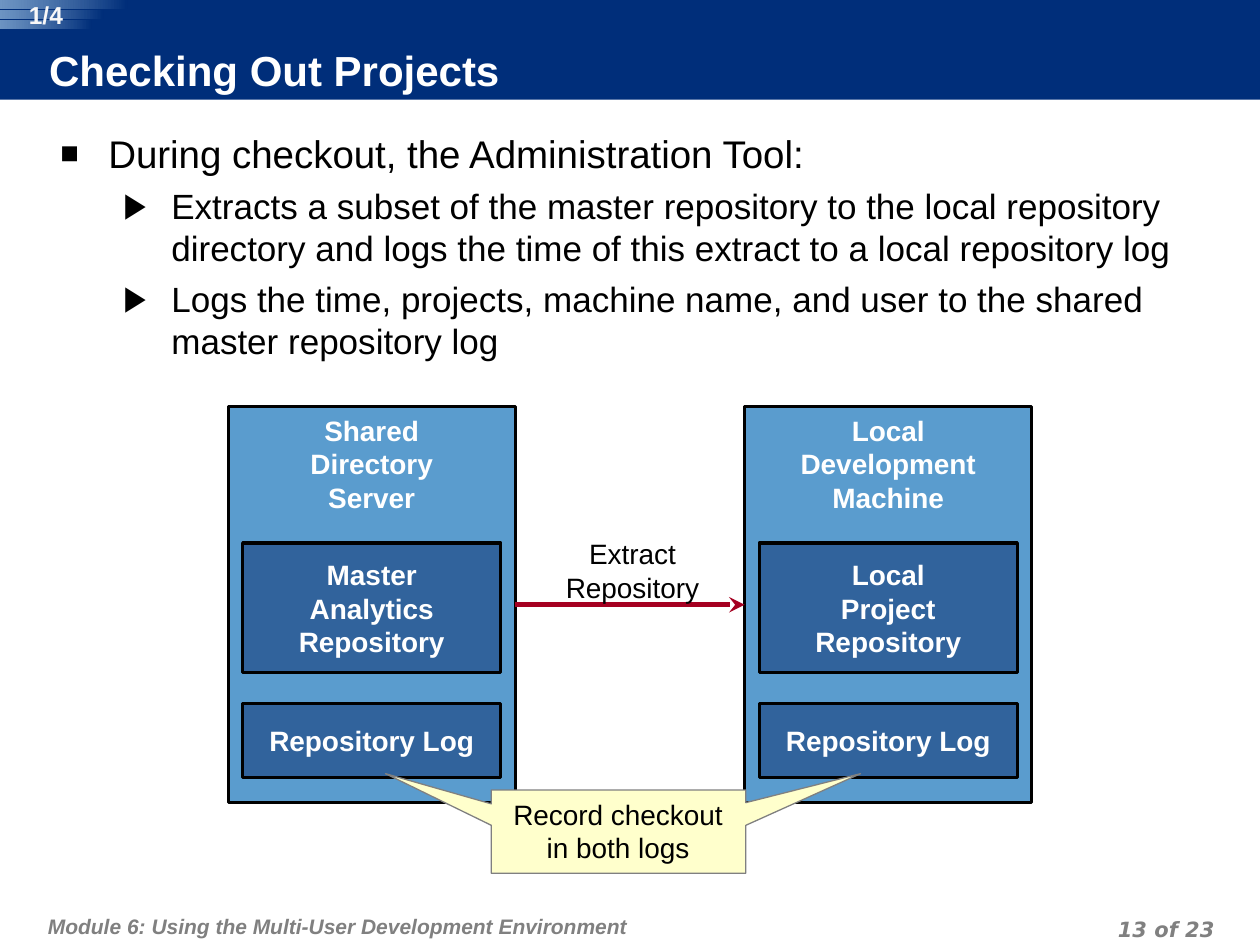
"""Builds the 'Checking Out Projects' slide on a grid of 100 columns by 75 rows."""
from lxml import etree
from pptx import Presentation
from pptx.dml.color import RGBColor
from pptx.enum.shapes import MSO_CONNECTOR, MSO_SHAPE
from pptx.enum.text import MSO_ANCHOR, MSO_AUTO_SIZE, PP_ALIGN
from pptx.oxml.ns import qn
from pptx.util import Inches, Pt

RECT, ROUNDED = MSO_SHAPE.RECTANGLE, MSO_SHAPE.ROUNDED_RECTANGLE
STRAIGHT = MSO_CONNECTOR.STRAIGHT
TOP, MIDDLE = MSO_ANCHOR.TOP, MSO_ANCHOR.MIDDLE
LEFT, CENTER, RIGHT = PP_ALIGN.LEFT, PP_ALIGN.CENTER, PP_ALIGN.RIGHT
FIXED = MSO_AUTO_SIZE.NONE
LEFT_SIDE, RIGHT_SIDE = 1, 3

COLUMNS, ROWS = 100, 75
COLORS = {
    "navy": "002E7A", "mist": "90B5DA", "sky": "5A9CCE", "steel": "31639C",
    "red": "A50021", "cream": "FFFFCC", "gray": "808080",
    "black": "000000", "white": "FFFFFF", "soft white": "F8F8F8",
}
BULLETS = [("■", 80, 0.38, 22, 0), ("▶", 100, 0.88, 20, 5)]
HANGING = 0.38
STANDARD_INSETS = (0.1, 0.05, 0.1, 0.05)


class SlideBuilder:
    """Holds the deck's style and the slide being drawn."""

    def __init__(self, deck, font="Arial"):
        """Adds a title-and-content slide and measures its grid cell."""
        self.font = font
        self.slide = deck.slides.add_slide(deck.slide_layouts[1])
        self.shapes = self.slide.shapes
        self.cell_width = deck.slide_width / COLUMNS
        self.cell_height = deck.slide_height / ROWS

    def color(self, name):
        """Returns a named colour of the palette."""
        return RGBColor.from_string(COLORS[name])

    def point(self, column, row):
        """Turns a grid position into slide lengths."""
        return round(column * self.cell_width), round(row * self.cell_height)

    def box(self, area):
        """Turns left, top, width and height in cells into slide lengths."""
        return self.point(*area[:2]) + self.point(*area[2:])

    def place(self, shape, area):
        """Moves a placeholder to a grid area."""
        shape.left, shape.top, shape.width, shape.height = self.box(area)

    def paint(self, shape, fill, line=None, weight=1):
        """Fills and outlines a shape without a shadow."""
        shape.shadow.inherit = False
        shape.fill.solid()
        shape.fill.fore_color.rgb = self.color(fill)
        if line:
            shape.line.color.rgb = self.color(line)
            shape.line.width = Pt(weight)
        else:
            shape.line.fill.background()

    def frame(self, shape, insets=STANDARD_INSETS, anchor=TOP, wrap=True):
        """Prepares a text frame and returns it."""
        frame = shape.text_frame
        frame.auto_size, frame.word_wrap = FIXED, wrap
        frame.vertical_anchor = anchor
        (frame.margin_left, frame.margin_top,
         frame.margin_right, frame.margin_bottom) = map(Inches, insets)
        return frame

    def run(self, paragraph, words, size, color, bold=False, italic=False, font=None):
        """Adds one formatted run."""
        run = paragraph.add_run()
        run.text = words
        run.font.name, run.font.size = font or self.font, Pt(size)
        run.font.bold, run.font.italic = bold, italic
        run.font.color.rgb = self.color(color)

    def lines(self, frame, texts, size, color, align=CENTER, spacing=None, **style):
        """Writes one paragraph for each text."""
        for index, words in enumerate(texts):
            paragraph = frame.add_paragraph() if index else frame.paragraphs[0]
            paragraph.alignment = align
            if spacing:
                paragraph.line_spacing = Pt(spacing)
            self.run(paragraph, words, size, color, **style)

    def band(self, area):
        """Draws the plain header band."""
        self.paint(self.shapes.add_shape(RECT, *self.box(area)), "navy")

    def streak(self, area):
        """Draws a header streak that fades into the band."""
        streak = self.shapes.add_shape(ROUNDED, *self.box(area))
        streak.adjustments[0] = 0
        streak.shadow.inherit = False
        streak.line.fill.background()
        streak.fill.gradient()
        streak.fill.gradient_angle = 180
        start, end = streak.fill.gradient_stops
        start.position, end.position = 0, 1
        start.color.rgb, end.color.rgb = self.color("navy"), self.color("mist")
        tint = streak._element.spPr.findall(".//" + qn("a:srgbClr"))[-1]
        etree.SubElement(tint, qn("a:alpha"), val="76000")

    def title(self, area, words):
        """Fills the title placeholder."""
        title = self.shapes.title
        self.place(title, area)
        self.paint(title, "navy")
        frame = self.frame(title, (0, 0, 0.05, 0.05), MIDDLE)
        self.lines(frame, [words], 24, "white", LEFT, bold=True)

    def bullets(self, area, items):
        """Fills the body placeholder with levelled bullets."""
        body = self.slide.placeholders[1]
        self.place(body, area)
        frame = self.frame(body, (0.1, 0.1, 0.1, 0.05))
        for index, (level, words) in enumerate(items):
            paragraph = frame.add_paragraph() if index else frame.paragraphs[0]
            mark, percent, indent, size, gap = BULLETS[level]
            properties = paragraph._p.get_or_add_pPr()
            properties.set("marL", str(Inches(indent)))
            properties.set("indent", str(-Inches(HANGING)))
            tint = etree.SubElement(properties, qn("a:buClr"))
            etree.SubElement(tint, qn("a:srgbClr"), val=COLORS["black"])
            etree.SubElement(properties, qn("a:buSzPct"), val=str(percent * 1000))
            etree.SubElement(properties, qn("a:buFont"), typeface=self.font)
            etree.SubElement(properties, qn("a:buChar"), char=mark)
            paragraph.level = level
            paragraph.space_before = Pt(gap)
            self.run(paragraph, words, size, "black")

    def label(self, area, texts, size, color, insets=STANDARD_INSETS, wrap=True, **style):
        """Adds a free text box."""
        frame = self.frame(self.shapes.add_textbox(*self.box(area)), insets, wrap=wrap)
        self.lines(frame, texts, size, color, **style)

    def block(self, area, texts, fill, anchor=MIDDLE):
        """Draws an outlined diagram block and returns it."""
        block = self.shapes.add_shape(RECT, *self.box(area))
        self.paint(block, fill, "black", 1.75)
        self.lines(self.frame(block, anchor=anchor, wrap=False), texts, 16, "white", bold=True)
        return block

    def computer(self, left, name, repository):
        """Draws a computer holding a repository and its log."""
        computer = self.block((left, 32.3, 22.8, 31.4), name, "sky", TOP)
        self.block((left + 1.15, 43.1, 20.5, 10.3), repository, "steel")
        self.block((left + 1.15, 55.8, 20.5, 5.9), ["Repository Log"], "steel")
        return computer

    def arrow(self, source, target):
        """Points from the source's right side to the target's left side."""
        arrow = self.shapes.add_connector(STRAIGHT, 0, 0, 0, 0)
        arrow.begin_connect(target, LEFT_SIDE)
        arrow.end_connect(source, RIGHT_SIDE)
        arrow.line.color.rgb = self.color("red")
        arrow.line.width = Pt(3)
        etree.SubElement(arrow.line._get_or_add_ln(), qn("a:headEnd"), type="stealth")
        etree.SubElement(arrow._element.spPr, qn("a:effectLst"))

    def outline(self, corners):
        """Draws a closed callout outline through grid points."""
        start, *rest = [self.point(*corner) for corner in corners]
        builder = self.shapes.build_freeform(*start)
        builder.add_line_segments(rest, close=True)
        self.paint(builder.convert_to_shape(), "cream", "gray", 0.75)


def main():
    """Draws the slide and saves the deck."""
    deck = Presentation()
    deck.slide_width, deck.slide_height = Inches(10), Inches(7.5)
    page = SlideBuilder(deck)

    page.band((0, 0, COLUMNS, 7.9))
    page.shapes._spTree.insert(2, page.shapes[-1]._element)
    footer = {"size": 12, "color": "gray", "spacing": 18, "bold": True, "italic": True}
    page.label((3.3, 71, 61.8, 4), ["Module 6: Using the Multi-User Development Environment"],
               insets=(0.05, 0.1, 0.05, 0.05), align=LEFT, **footer)
    page.label((73.6, 72.2, 23.3, 2.5), ["13 of 23"], insets=(0.05, 0, 0.05, 0),
               align=RIGHT, font="DejaVu Sans", **footer)

    page.title((3.9, 3.8, 78.7, 4), "Checking Out Projects")
    page.bullets((3.8, 9.3, 93, 61.8), [
        (0, "During checkout, the Administration Tool:"),
        (1, "Extracts a subset of the master repository to the local repository directory "
            "and logs the time of this extract to a local repository log"),
        (1, "Logs the time, projects, machine name, and user to the shared "
            "master repository log"),
    ])

    for index, length in enumerate((10.1, 8.2, 7.3)):
        page.streak((0, 0.8 * index, length, 0.65))
    page.label((1.1, 0, 5.1, 2.3), ["1/4"], 14, "soft white", (0, 0, 0, 0), bold=True)

    server = page.computer(18.1, ["Shared", "Directory", "Server"],
                           ["Master", "Analytics", "Repository"])
    machine = page.computer(59.1, ["Local", "Development", "Machine"],
                            ["Local", "Project", "Repository"])
    page.arrow(server, machine)
    page.label((43.9, 42.1, 12.6, 6.4), ["Extract", "Repository"], 16, "black", wrap=False)

    page.outline([(39, 62.7), (59.2, 62.7), (59.2, 63.7), (68.3, 61.4), (59.2, 65.5),
                  (59.2, 69.3), (39, 69.3), (39, 65.5), (30.6, 61.4), (39, 63.8)])
    page.label((39.5, 62.8, 19.1, 6.4), ["Record checkout in both logs"], 16, "black")

    deck.save("out.pptx")


if __name__ == "__main__":
    main()
